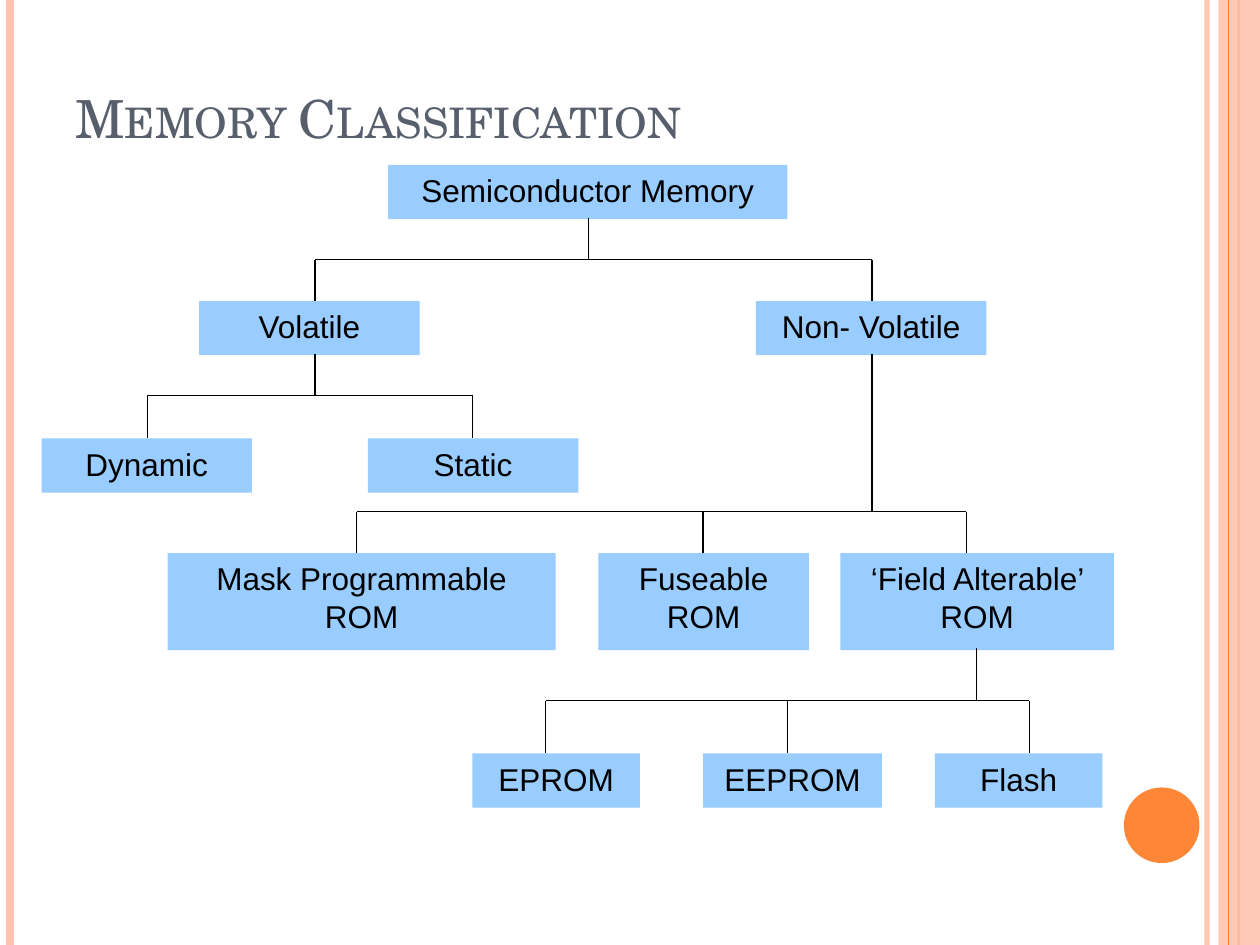
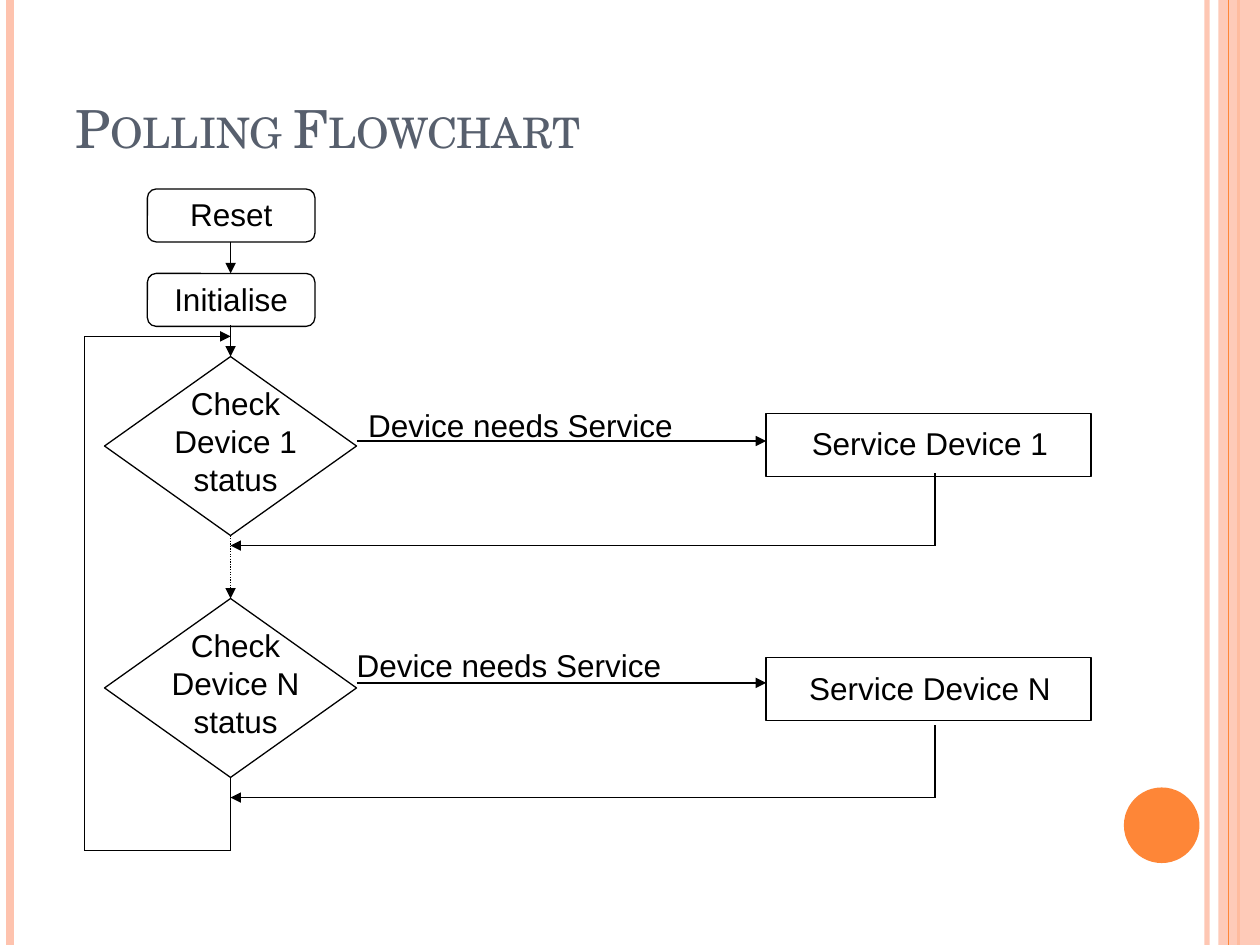
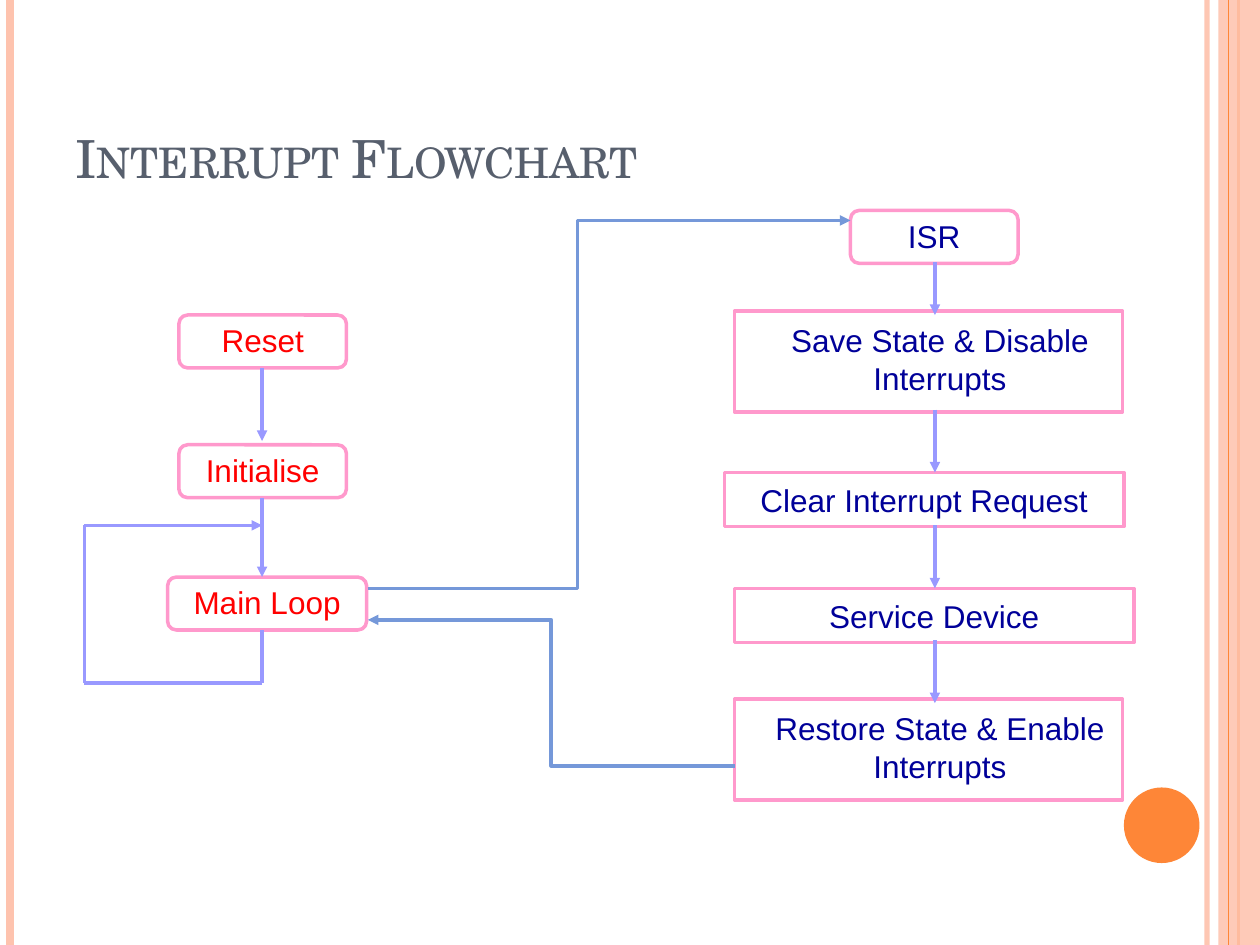
"""Build three slides on memory classification, polling and interrupts."""
from dataclasses import dataclass

from lxml import etree
from pptx import Presentation, util as u
from pptx.dml import color
from pptx.enum import dml, shapes, text
from pptx.oxml import ns


@dataclass(frozen=True)
class Theme:
    heading: str = "575F6D"
    peach: str = "FEC3AE"
    orange: str = "FE8637"
    black: str = "000000"
    sky: str = "99CCFF"
    pink: str = "FF99CC"
    lilac: str = "9999FF"
    blue: str = "7598D9"
    red: str = "FF0000"
    navy: str = "000099"
    title_font: str = "TeX Gyre Schola"
    body_font: str = "Arial"
    title_size: int = 30
    body_size: int = 18


T = Theme()
RECT = shapes.MSO_SHAPE.RECTANGLE
ROUND = shapes.MSO_SHAPE.FLOWCHART_ALTERNATE_PROCESS
DIAMOND = shapes.MSO_SHAPE.FLOWCHART_DECISION
STRAIGHT = shapes.MSO_CONNECTOR.STRAIGHT
ELBOW = shapes.MSO_CONNECTOR.ELBOW
TOP = text.MSO_ANCHOR.TOP
MIDDLE = text.MSO_ANCHOR.MIDDLE


def box(s, kind, at, words="", fill=None, edge=None, weight=0.75, ink=T.black, anchor=TOP):
    """Add a preset shape, or a text box when kind is None."""
    at = [u.Inches(v) for v in at]
    if kind is None:
        sp = s.shapes.add_textbox(*at)
    else:
        sp = s.shapes.add_shape(kind, *at)
        sp.shadow.inherit = False
        if fill:
            sp.fill.solid()
            sp.fill.fore_color.rgb = color.RGBColor.from_string(fill)
        else:
            sp.fill.background()
        if edge:
            sp.line.color.rgb = color.RGBColor.from_string(edge)
            sp.line.width = u.Pt(weight)
        else:
            sp.line.fill.background()
    if words:
        tf = sp.text_frame
        tf.word_wrap = True
        tf.vertical_anchor = anchor
        p = tf.paragraphs[0]
        p.text = words
        p.alignment = text.PP_ALIGN.CENTER
        p.font.name = T.body_font
        p.font.size = u.Pt(T.body_size)
        p.font.color.rgb = color.RGBColor.from_string(ink)
    return sp


def line(s, x1, y1, x2, y2, arrow=False, ink=T.black, weight=0.75, dash=None, kind=STRAIGHT):
    """Add a connector, with an arrowhead at its end when asked."""
    cx = s.shapes.add_connector(kind, *(u.Inches(v) for v in (x1, y1, x2, y2)))
    cx.line.color.rgb = color.RGBColor.from_string(ink)
    cx.line.width = u.Pt(weight)
    if dash:
        cx.line.dash_style = dash
    if arrow:
        etree.SubElement(cx.line._get_or_add_ln(), ns.qn("a:tailEnd"), type="triangle")
    etree.SubElement(cx._element.spPr, ns.qn("a:effectLst"))
    return cx


prs = Presentation()
prs.slide_width, prs.slide_height = u.Inches(10), u.Inches(7.5)

slides = []
for title, height in [
    ("Memory Classification", 0.93),
    ("Polling Flowchart", 1.01),
    ("Interrupt Flowchart", 1.25),
]:
    s = prs.slides.add_slide(prs.slide_layouts[6])
    slides.append(s)
    rail = line(s, 9.58, 0, 9.58, 7.5, ink=T.peach, weight=3)
    line(s, 0.08, 0, 0.08, 7.5, ink=T.peach, weight=4.5)
    line(s, 9.83, 0, 9.83, 7.5, ink=T.orange, weight=1.5)
    band = box(s, RECT, (9.67, 0, 0.33, 7.5), fill=T.peach)
    line(s, 9.75, 0, 9.75, 7.5, ink=T.orange)
    box(s, shapes.MSO_SHAPE.OVAL, (8.92, 6.25, 0.6, 0.6), fill=T.orange)
    for sp, alpha in [(rail, 93), (band, 87)]:
        clr = sp._element.spPr.find(".//" + ns.qn("a:srgbClr"))
        etree.SubElement(clr, ns.qn("a:alpha"), val=str(alpha * 1000))
    head = box(s, None, (0.5, 0.3, 8.17, height), title, ink=T.heading, anchor=text.MSO_ANCHOR.BOTTOM)
    p = head.text_frame.paragraphs[0]
    p.alignment = text.PP_ALIGN.LEFT
    p.font.name = T.title_font
    p.font.size = u.Pt(T.title_size)
    p.font._element.set("cap", "small")

memory, polling, interrupt = slides

for y, h, row in [
    (1.31, 0.43, [("Semiconductor Memory", 3.08, 3.17)]),
    (2.39, 0.43, [("Volatile", 1.58, 1.75), ("Non- Volatile", 6, 1.83)]),
    (3.48, 0.43, [("Dynamic", 0.33, 1.67), ("Static", 2.92, 1.67)]),
    (4.39, 0.77, [("Mask Programmable ROM", 1.33, 3.08), ("Fuseable ROM", 4.75, 1.67),
                  ("‘Field Alterable’ ROM", 6.67, 2.17)]),
    (5.98, 0.43, [("EPROM", 3.75, 1.33), ("EEPROM", 5.58, 1.42), ("Flash", 7.42, 1.33)]),
]:
    for words, x, w in row:
        box(memory, RECT, (x, y, w, h), words, fill=T.sky)

for stem, top, bar, bottom, drops in [
    (4.67, 1.73, 2.06, 2.39, (2.5, 6.92)),
    (2.5, 2.81, 3.14, 3.48, (1.17, 3.75)),
    (6.92, 2.81, 4.06, 4.39, (2.83, 5.58, 7.67)),
    (7.75, 5.14, 5.56, 5.98, (4.33, 6.25, 8.17)),
]:
    line(memory, stem, top, stem, bar, weight=1)
    line(memory, drops[0], bar, drops[-1], bar, weight=1)
    for x in drops:
        line(memory, x, bar, x, bottom, weight=1)

for words, y, x, w in [("Reset", 1.5, 1.25, 1.17), ("Initialise", 2.17, 1.17, 1.33)]:
    box(polling, ROUND, (1.17, y, 1.33, 0.42), edge=T.black)
    box(polling, None, (x, y, w, 0.43), words)

for device, y, service_y, label_x, label_y in [
    ("1", 2.83, 3.28, 2.67, 3.17),
    ("N", 4.75, 5.22, 2.58, 5.08),
]:
    box(polling, DIAMOND, (0.83, y, 2, 1.42), edge=T.black)
    box(polling, None, (1.08, y + 0.17, 1.58, 1.1), f"Check Device {device} status")
    box(polling, RECT, (6.08, service_y, 2.58, 0.5), edge=T.black)
    box(polling, None, (5.92, service_y + 0.04, 2.92, 0.43), f"Service Device {device}")
    box(polling, None, (label_x, label_y, 2.92, 0.4), "Device needs Service")

for ends in [
    (1.83, 1.92, 1.83, 2.17), (1.83, 2.58, 1.83, 2.83),
    (2.83, 3.5, 6.08, 3.5), (2.83, 5.42, 6.08, 5.42),
    (7.42, 4.33, 1.83, 4.33), (7.42, 6.33, 1.83, 6.33),
    (0.67, 2.67, 1.83, 2.67),
]:
    line(polling, *ends, arrow=True)
for ends in [
    (7.42, 4.33, 7.42, 3.75), (7.42, 6.33, 7.42, 5.75),
    (1.83, 6.75, 1.83, 6.17), (1.83, 6.75, 0.67, 6.75), (0.67, 6.75, 0.67, 2.67),
]:
    line(polling, *ends)
line(polling, 1.83, 4.25, 1.83, 4.75, arrow=True, dash=dml.MSO_LINE.ROUND_DOT)

for words, x, y, w, ink in [
    ("Reset", 1.42, 2.5, 1.33, T.red),
    ("Initialise", 1.42, 3.53, 1.33, T.red),
    ("Main Loop", 1.33, 4.58, 1.58, T.red),
    ("ISR", 6.75, 1.67, 1.33, T.navy),
]:
    box(interrupt, ROUND, (x, y, w, 0.42), edge=T.pink, weight=2)
    box(interrupt, None, (x, y, w, 0.43), words, ink=ink)

for words, y in [("Save State & Disable Interrupts", 2.47), ("Restore State & Enable Interrupts", 5.55)]:
    box(interrupt, RECT, (5.83, y, 3.08, 0.8), edge=T.pink, weight=2)
    box(interrupt, None, (6, y + 0.03, 2.92, 0.77), words, ink=T.navy)
for words, x, y in [("Clear Interrupt Request", 5.75, 3.75), ("Service Device", 5.83, 4.67)]:
    box(interrupt, RECT, (x, y, 3.17, 0.43), words, edge=T.pink, weight=2, ink=T.navy, anchor=MIDDLE)

for x, y1, y2 in [
    (2.08, 2.92, 3.5), (2.08, 3.95, 4.58),
    (7.42, 2.08, 2.5), (7.42, 3.25, 3.75), (7.42, 4.17, 4.67), (7.42, 5.08, 5.58),
]:
    line(interrupt, x, y1, x, y2, arrow=True, ink=T.lilac, weight=2)
for ends in [(2.08, 5.42, 2.08, 5), (2.08, 5.42, 0.67, 5.42), (0.67, 5.42, 0.67, 4.17)]:
    line(interrupt, *ends, ink=T.lilac, weight=2)
line(interrupt, 0.67, 4.17, 2.08, 4.17, arrow=True, ink=T.lilac, weight=2)

call = line(interrupt, 2.92, 4.67, 6.75, 1.75, arrow=True, ink=T.blue, weight=2, kind=ELBOW)
bend = call._element.spPr.find(".//" + ns.qn("a:avLst"))
etree.SubElement(bend, ns.qn("a:gd"), name="adj1", fmla="val 43400")
line(interrupt, 5.83, 6.08, 2.92, 4.92, arrow=True, ink=T.blue, weight=2, kind=ELBOW)

prs.save("out.pptx")
